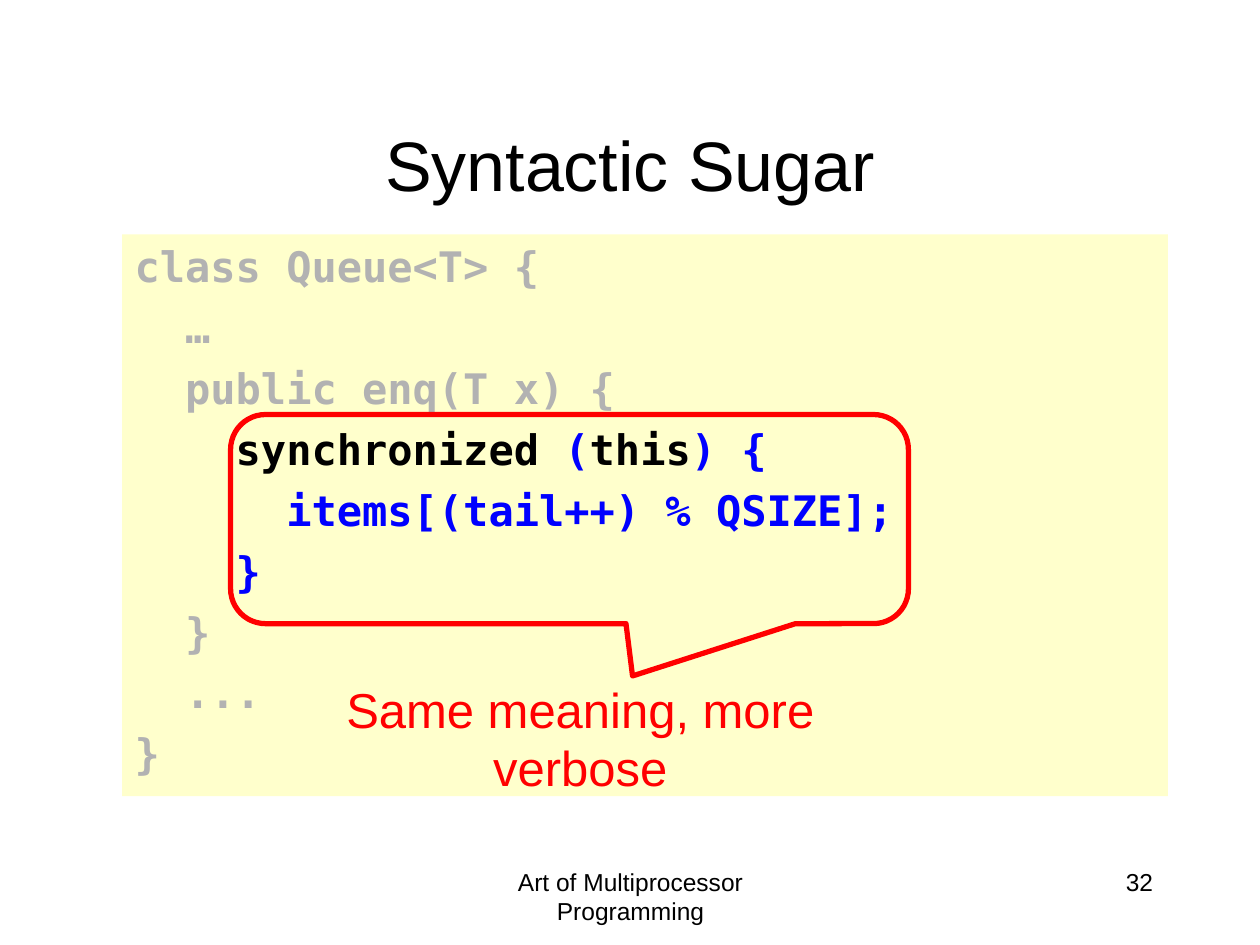
from pptx import Presentation
from pptx.dml.color import RGBColor
from pptx.enum.shapes import MSO_SHAPE as Shape
from pptx.enum.text import MSO_ANCHOR as Anchor, PP_ALIGN as Align
from pptx.util import Inches, Pt

SANS, MONO = "Arial", "DejaVu Sans Mono"
BLACK, RED, BLUE, GREY, CREAM = "000000", "FF0000", "0000FF", "B2B2B2", "FFFFCC"

TITLE = "Syntactic Sugar"
# Each code line is a list of (text, colour) runs.
CODE = [
    [("class Queue<T> {", GREY)],
    [("  …", GREY)],
    [("  public enq(T x) {", GREY)],
    [("    ", BLUE), ("synchronized", BLACK), (" (", BLUE), ("this", BLACK), (") {", BLUE)],
    [("      items[(tail++) % QSIZE];", BLUE)],
    [("    }", BLUE)],
    [("  }", GREY)],
    [("  ...", GREY)],
    [("}", GREY)],
]
# Text, box (left, top, width, height), size, colour, alignment
LABELS = [
    ("Art of Multiprocessor Programming", (3.42, 6.83, 3.17, 0.5), 14, BLACK, Align.CENTER),
    ("32", (7.17, 6.83, 2.08, 0.5), 14, BLACK, Align.RIGHT),
    ("Same meaning, more verbose", (2.07, 5.34, 5.07, 1.04), 28, RED, Align.CENTER),
]
TITLE_BOX = (0.75, 0.67, 8.5, 1.25)
CODE_BOX = (0.97, 1.86, 8.3, 4.46)
CALLOUT_BOX = (1.83, 3.29, 5.38, 1.66)
CALLOUT_ADJUST = (0.01, 0.75, 0.167)
CALLOUT_ADJUST = (0.093, 0.75, 0.167)


def rgb(value):
    return RGBColor.from_string(value)


def inches(box):
    return [Inches(v) for v in box]


def set_font(font, name, size, color, bold=False):
    font.name, font.size, font.bold = name, Pt(size), bold
    font.color.rgb = rgb(color)


def write(sp, text, size, color, align):
    tf = sp.text_frame
    tf.word_wrap = True
    p = tf.paragraphs[0]
    p.text, p.alignment = text, align
    set_font(p.font, SANS, size, color)


def add_shape(slide, kind, box):
    sp = slide.shapes.add_shape(kind, *inches(box))
    sp.shadow.inherit = False
    return sp


def add_code(slide):
    sp = add_shape(slide, Shape.RECTANGLE, CODE_BOX)
    sp.fill.solid()
    sp.fill.fore_color.rgb = rgb(CREAM)
    sp.line.fill.background()
    tf = sp.text_frame
    tf.word_wrap, tf.vertical_anchor = True, Anchor.TOP
    for i, line in enumerate(CODE):
        p = tf.add_paragraph() if i else tf.paragraphs[0]
        p.alignment, p.space_before = Align.LEFT, Pt(6)
        for text, color in line:
            r = p.add_run()
            r.text = text
            set_font(r.font, MONO, 24, color, bold=True)


def add_callout(slide):
    sp = add_shape(slide, Shape.ROUNDED_RECTANGULAR_CALLOUT, CALLOUT_BOX)
    for i, value in enumerate(CALLOUT_ADJUST):
        sp.adjustments[i] = value
    sp.fill.background()
    sp.line.color.rgb = rgb(RED)
    sp.line.width = Pt(3)


def main():
    prs = Presentation()
    prs.slide_width, prs.slide_height = Inches(10), Inches(7.5)
    slide = prs.slides.add_slide(prs.slide_layouts[5])
    title = slide.shapes.title
    title.left, title.top, title.width, title.height = inches(TITLE_BOX)
    write(title, TITLE, 40, BLACK, Align.CENTER)
    title.text_frame.vertical_anchor = Anchor.MIDDLE
    add_code(slide)
    add_callout(slide)
    for text, box, *style in LABELS:
        write(slide.shapes.add_textbox(*inches(box)), text, *style)
    prs.save("out.pptx")


if __name__ == "__main__":
    main()
